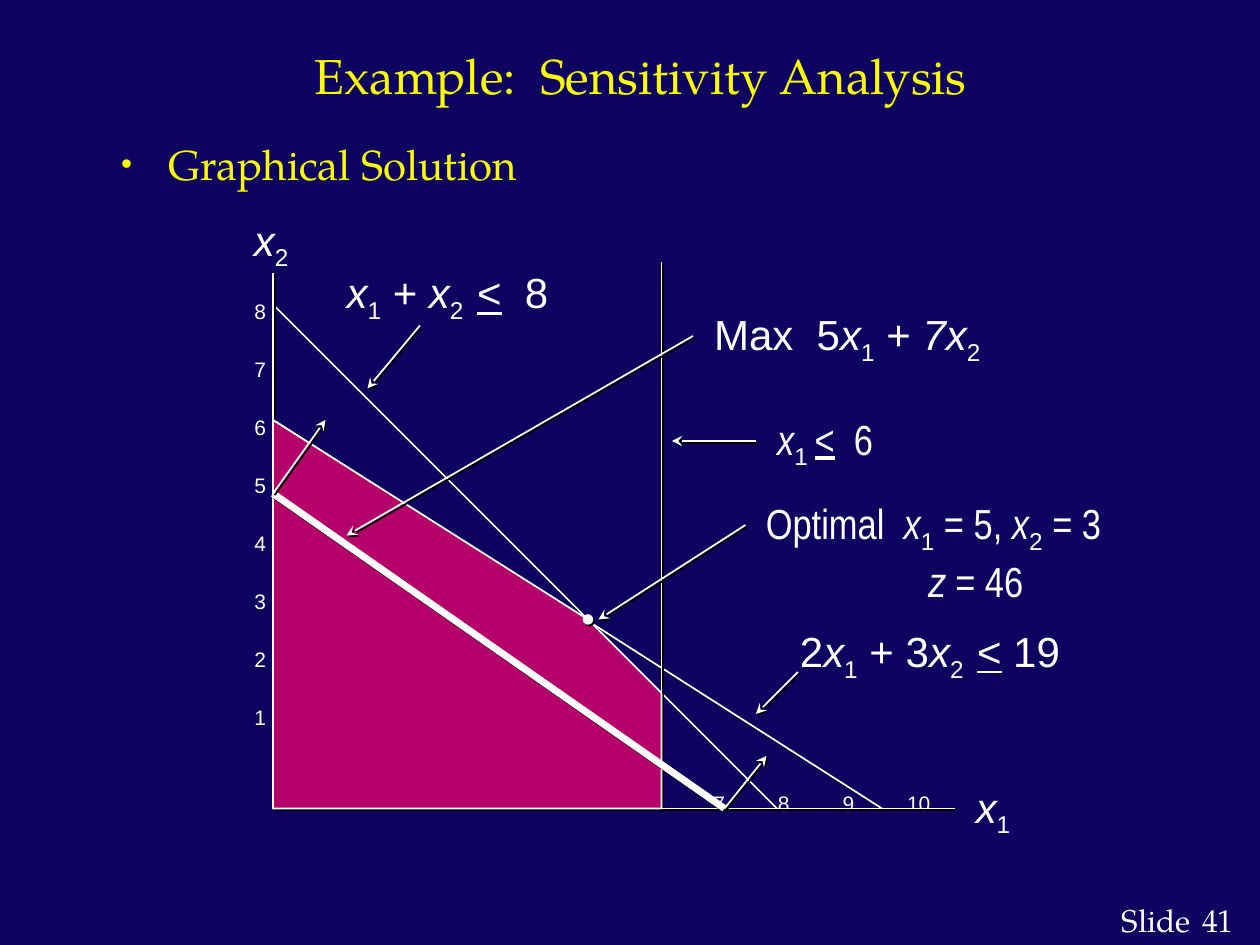
"""Build the graphical solution slide of a sensitivity analysis example."""
import dataclasses

import lxml.etree
import pptx
import pptx.dml.color
import pptx.enum.shapes
import pptx.enum.text
import pptx.oxml.ns
import pptx.util

Pt = pptx.util.Pt
qn = pptx.oxml.ns.qn
RGB = pptx.dml.color.RGBColor.from_string


@dataclasses.dataclass(frozen=True)
class Theme:
    """Colours, fonts and type sizes of the slide."""
    background: str = "0D0260"
    heading: str = "FAFD00"
    ink: str = "FFFFFF"
    footer: str = "FFFCFD"
    region: str = "B50069"
    shadow: str = "000000"
    serif: str = "TeX Gyre Pagella"
    sans: str = "Arial"
    narrow: str = "Arial Narrow"
    title_size: int = 28
    text_size: int = 24
    footer_size: int = 18
    tick_size: int = 12


THEME = Theme()
LEFT, BASE, LIMIT = 156, 462, 378
OPTIMUM = (336, 354)
OBJECTIVE = ((LEFT, 282), (414, BASE))

X1 = (("x", "i"), ("1", "sub"))
X2 = (("x", "i"), ("2", "sub"))
X2_GAP = (("x", "i"), ("2  ", "sub"))
AT_MOST = ("<", "u")


def style_span(span, size, color, font):
    """Set the size, colour and font of a run."""
    span.font.size = Pt(size)
    span.font.color.rgb = RGB(color)
    span.font.name = font


def fill_placeholder(box, text, place, size):
    """Move a placeholder and set its heading text."""
    box.left, box.top, box.width, box.height = map(Pt, place)
    frame = box.text_frame
    frame.auto_size = pptx.enum.text.MSO_AUTO_SIZE.NONE
    frame.text = text
    style_span(frame.paragraphs[0].runs[0], size, THEME.heading, THEME.serif)


def style_bullet(para):
    """Give a list paragraph a small bullet in the heading colour."""
    props = para._p.get_or_add_pPr()
    color = lxml.etree.SubElement(props, qn("a:buClr"))
    lxml.etree.SubElement(color, qn("a:srgbClr"), val=THEME.heading)
    lxml.etree.SubElement(props, qn("a:buSzPct"), val="75000")
    lxml.etree.SubElement(props, qn("a:buChar"), char="•")


def add_text(page, text, place, size, color, font):
    """Add a one-line text box without margins, centred vertically."""
    box = page.shapes.add_textbox(*map(Pt, place))
    frame = box.text_frame
    frame.margin_left = frame.margin_right = 0
    frame.margin_top = frame.margin_bottom = 0
    frame.vertical_anchor = pptx.enum.text.MSO_ANCHOR.MIDDLE
    frame.word_wrap = True
    frame.text = text
    style_span(frame.paragraphs[0].runs[0], size, color, font)


def add_formula(page, place, lines, font=THEME.sans, indent=0):
    """Add lines of styled spans, indenting each line after the first."""
    frame = page.shapes.add_textbox(*map(Pt, place)).text_frame
    frame.word_wrap = True
    for index, parts in enumerate(lines):
        para = frame.add_paragraph() if index else frame.paragraphs[0]
        if index:
            para._p.get_or_add_pPr().set("marL", str(Pt(indent)))
        for text, style in parts:
            span = para.add_run()
            span.text = text
            lowered = style == "sub"
            style_span(span, THEME.text_size, THEME.ink,
                       THEME.sans if lowered else font)
            span.font.italic = style == "i"
            span.font.underline = style == "u"
            if lowered:
                span.font._element.set("baseline", "-25000")


def add_shadow(shape):
    """Give a shape a hard shadow to the lower right."""
    effects = lxml.etree.SubElement(shape._element.spPr, qn("a:effectLst"))
    shadow = lxml.etree.SubElement(effects, qn("a:outerShdw"),
                                   dist=str(Pt(1.4)), dir="2700000")
    lxml.etree.SubElement(shadow, qn("a:srgbClr"), val=THEME.shadow)


def add_line(page, start, end, width=1, arrow=False):
    """Add a straight line, with an arrowhead at its end if asked."""
    line = page.shapes.add_connector(
        pptx.enum.shapes.MSO_CONNECTOR.STRAIGHT, *map(Pt, start + end))
    line.line.color.rgb = RGB(THEME.ink)
    line.line.width = Pt(width)
    if arrow:
        lxml.etree.SubElement(line.line._ln, qn("a:tailEnd"), type="stealth")
    add_shadow(line)


def paint(shape, color):
    """Fill a shape and outline it in the ink colour."""
    shape.fill.solid()
    shape.fill.fore_color.rgb = RGB(color)
    shape.line.color.rgb = RGB(THEME.ink)
    shape.line.width = Pt(1)


def add_region(page, corners):
    """Add the feasible region as a closed outline."""
    points = [tuple(map(Pt, corner)) for corner in corners]
    builder = page.shapes.build_freeform(*points[0])
    builder.add_line_segments(points[1:], close=True)
    region = builder.convert_to_shape()
    region.shadow.inherit = False
    paint(region, THEME.region)


def add_dot(page, center, size):
    """Add a round mark centred on a point."""
    left, top = (value - size / 2 for value in center)
    dot = page.shapes.add_shape(pptx.enum.shapes.MSO_SHAPE.OVAL,
                                Pt(left), Pt(top), Pt(size), Pt(size))
    paint(dot, THEME.ink)
    add_shadow(dot)


def add_ticks(page):
    """Number the two axes at equal steps."""
    places = [(n, 145.4, 409.7 - 33.14 * (n - 1)) for n in range(8, 0, -1)]
    places += [(n, 407.7 + 36.87 * (n - 7), 459) for n in range(7, 11)]
    for number, left, middle in places:
        add_text(page, str(number), (left, middle - 9, 24, 18),
                 THEME.tick_size, THEME.ink, THEME.sans)


def add_plot(page):
    """Draw constraints, axes, feasible region, objective and arrows."""
    add_ticks(page)
    for start, end in (((LEFT, 174), (444, BASE)), ((LEFT, 240), (504, BASE)),
                       ((LIMIT, BASE), (LIMIT, 150)),
                       ((LEFT, BASE), (546, BASE)), ((LEFT, 156), (LEFT, BASE))):
        add_line(page, start, end)
    add_region(page, ((LEFT, 240), OPTIMUM, (LIMIT, 396),
                      (LIMIT, BASE), (LEFT, BASE)))
    add_line(page, *OBJECTIVE, width=4)
    for start, end in (((240, 186), (210, 222)), ((432, 252), (384, 252)),
                       ((456, 384), (432, 408)), ((426, 300), (342, 354)),
                       ((396, 192), (198, 306)),
                       (OBJECTIVE[0], (186, 240)), (OBJECTIVE[1], (438, 432))):
        add_line(page, start, end, arrow=True)
    add_dot(page, OPTIMUM + (), 5)


def add_labels(page):
    """Name the axes, constraints, objective and optimum."""
    add_formula(page, (138, 119, 60, 36), [X2])
    add_formula(page, (550.5, 443, 60, 36), [X1])
    add_formula(page, (191, 149, 150, 36),
                [(*X1, (" + ", ""), *X2_GAP, AT_MOST, ("  8", ""))])
    add_formula(page, (401, 173, 180, 36),
                [(("Max  5", ""), *X1, (" + ", ""), ("7x", "i"), ("2", "sub"))])
    add_formula(page, (437, 232.5, 90, 36),
                [(("x", "i"), ("1 ", "sub"), AT_MOST, ("  6", ""))],
                THEME.narrow)
    add_formula(page, (430.5, 281, 220, 65),
                [(("Optimal  ", ""), *X1, (" = 5, ", ""), *X2, (" = 3", "")),
                 (("z", "i"), (" = 46", ""))],
                THEME.narrow, indent=93)
    add_formula(page, (450, 354, 204, 36),
                [(("2", ""), *X1, (" + 3", ""), *X2_GAP, AT_MOST, (" 19", ""))])


def main():
    """Build the slide and save it."""
    deck = pptx.Presentation()
    deck.slide_width, deck.slide_height = Pt(720), Pt(540)
    page = deck.slides.add_slide(deck.slide_layouts[1])
    page.background.fill.solid()
    page.background.fill.fore_color.rgb = RGB(THEME.background)
    title, body = page.placeholders
    fill_placeholder(title, "Example:  Sensitivity Analysis",
                     (60, 20, 612, 46), THEME.title_size)
    fill_placeholder(body, "Graphical Solution",
                     (62, 75.6, 612, 345), THEME.text_size)
    style_bullet(body.text_frame.paragraphs[0])
    add_plot(page)
    add_labels(page)
    for text, left in (("Slide", 641), ("41", 687)):
        add_text(page, text, (left, 512, 44, 27),
                 THEME.footer_size, THEME.footer, THEME.serif)
    deck.save("out.pptx")


if __name__ == "__main__":
    main()
